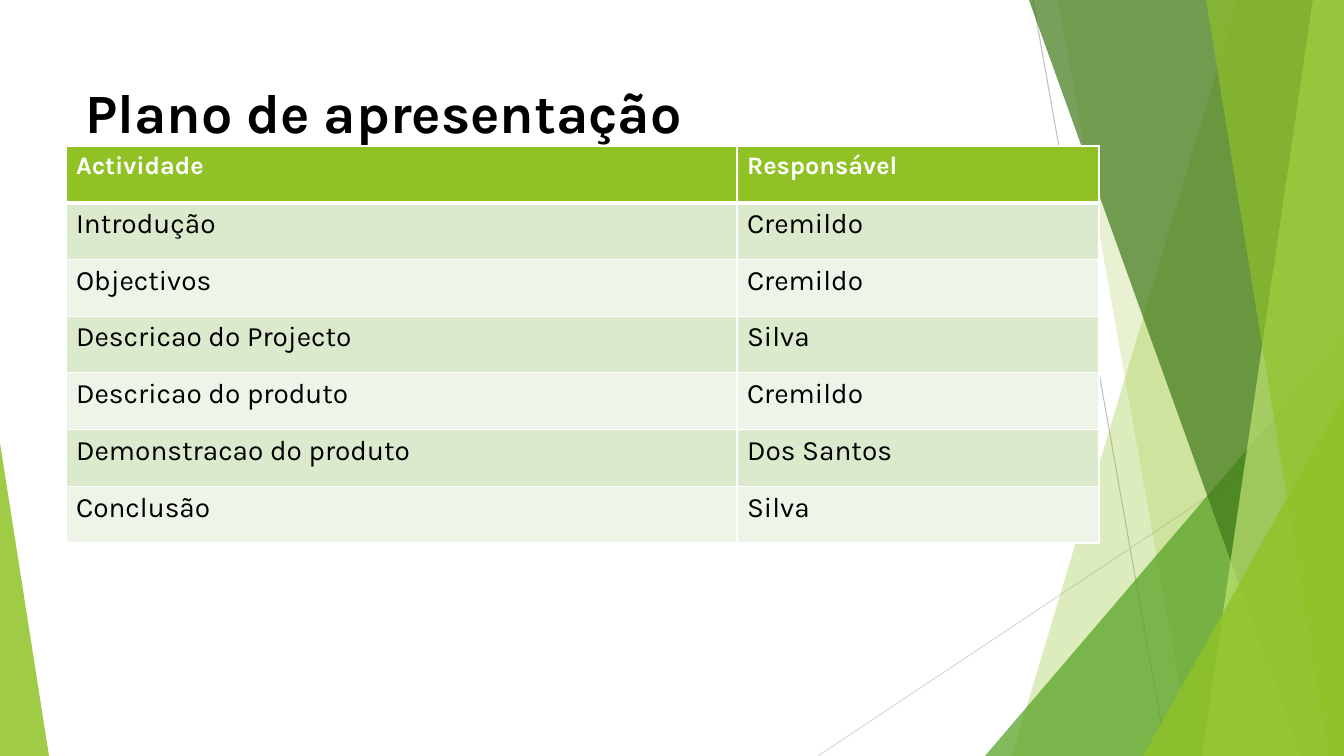
"""Build the presentation plan slide: leafy green facets, a title and a table of activities."""
from dataclasses import dataclass

from lxml import etree
from pptx import Presentation
from pptx import util as u
from pptx.dml.color import RGBColor
from pptx.enum import shapes, text
from pptx.oxml import ns

PIXELS_PER_INCH = 100.8
SLIDE_WIDTH, SLIDE_HEIGHT = 1344, 756
WHITE = RGBColor(0xFF, 0xFF, 0xFF)
BLACK = RGBColor(0x00, 0x00, 0x00)
LIME = RGBColor(0x90, 0xC2, 0x26)
PALE_LIME = RGBColor(0xC0, 0xE4, 0x74)
GREEN = RGBColor(0x54, 0xA0, 0x21)
FOREST = RGBColor(0x3F, 0x78, 0x19)
BAND_DARK = RGBColor(0xDB, 0xE9, 0xCD)
BAND_LIGHT = RGBColor(0xEE, 0xF4, 0xE8)
MID_GREY = RGBColor(0xBF, 0xBF, 0xBF)
LIGHT_GREY = RGBColor(0xD9, 0xD9, 0xD9)

TITLE_FORMAT = {"name": "Karla", "size": u.Pt(39.6), "bold": True}
HEADER_FORMAT = {"name": "Karla", "size": u.Pt(18), "bold": True}
BODY_FORMAT = {"name": "Karla", "size": u.Pt(20), "bold": False}


@dataclass(frozen=True)
class Ray:
    """A thin line between two points."""
    start: tuple[int, int]
    end: tuple[int, int]
    color: RGBColor


@dataclass(frozen=True)
class Facet:
    """A translucent panel reaching the right edge, with a slanted left side."""
    top_left: int
    bottom_left: int
    color: RGBColor
    opacity: int


@dataclass(frozen=True)
class Corner:
    """A translucent triangle rising from the bottom edge."""
    left: int
    top: int
    width: int
    apex: int
    color: RGBColor
    opacity: int


RAYS = [
    Ray((1033, 0), (1167, 756), MID_GREY),
    Ray((1344, 406), (818, 756), LIGHT_GREY),
]
PANELS = [
    Facet(1238, 1012, LIME, 30),
    Facet(1058, 1192, LIME, 20),
    Corner(985, 336, 359, 1, GREEN, 72),
    Facet(1029, 1301, FOREST, 70),
    Facet(1313, 1202, PALE_LIME, 70),
    Facet(1206, 1329, LIME, 65),
    Corner(1143, 396, 201, 1, LIME, 80),
    Corner(0, 443, 49, 0, LIME, 85),
]
ACTIVITIES = [
    ("Actividade", "Responsável"),
    ("Introdução", "Cremildo"),
    ("Objectivos", "Cremildo"),
    ("Descricao do Projecto", "Silva"),
    ("Descricao do produto", "Cremildo"),
    ("Demonstracao do produto", "Dos Santos"),
    ("Conclusão", "Silva"),
]


def px(pixels: int) -> int:
    """Turn pixels into EMU."""
    return u.Inches(pixels / PIXELS_PER_INCH)


def write(paragraph, wording: str, font_format: dict, color: RGBColor) -> None:
    """Add one formatted run to a paragraph."""
    run = paragraph.add_run()
    run.text = wording
    for name, value in font_format.items():
        setattr(run.font, name, value)
    run.font.color.rgb = color


def draw_ray(slide, ray: Ray) -> None:
    """Draw a hairline without a shadow."""
    line = slide.shapes.add_connector(
        shapes.MSO_CONNECTOR.STRAIGHT, *map(px, ray.start + ray.end))
    line.line.color.rgb = ray.color
    line.line.width = u.Pt(0.75)
    etree.SubElement(line.element.spPr, ns.qn("a:effectLst"))


def draw_panel(slide, panel: Facet | Corner) -> None:
    """Draw a facet or a corner with its translucent fill."""
    if isinstance(panel, Facet):
        builder = slide.shapes.build_freeform(px(panel.top_left), 0)
        outline = [(SLIDE_WIDTH, 0), (SLIDE_WIDTH, SLIDE_HEIGHT),
                   (panel.bottom_left, SLIDE_HEIGHT)]
        builder.add_line_segments([(px(x), px(y)) for x, y in outline], close=True)
        shape = builder.convert_to_shape()
    else:
        shape = slide.shapes.add_shape(
            shapes.MSO_SHAPE.ISOSCELES_TRIANGLE, px(panel.left), px(panel.top),
            px(panel.width), px(SLIDE_HEIGHT - panel.top))
        shape.adjustments[0] = panel.apex
    shape.shadow.inherit = False
    shape.line.fill.background()
    shape.fill.solid()
    shape.fill.fore_color.rgb = panel.color
    color = shape.element.spPr.find(".//" + ns.qn("a:srgbClr"))
    etree.SubElement(color, ns.qn("a:alpha"), val=str(panel.opacity * 1000))


def draw_title(slide, wording: str) -> None:
    """Place the title in front of the facets."""
    title = slide.shapes.title
    title.element.getparent().append(title.element)
    title.left, title.top, title.width, title.height = map(px, (75, 68, 982, 120))
    frame = title.text_frame
    frame.word_wrap = True
    frame.vertical_anchor = text.MSO_ANCHOR.TOP
    frame.margin_top = px(10)
    paragraph = frame.paragraphs[0]
    paragraph.alignment = text.PP_ALIGN.LEFT
    write(paragraph, wording, TITLE_FORMAT, BLACK)


def border_cell(cell, bottom_width: int) -> None:
    """Give a cell white borders, placed ahead of its fill."""
    properties = cell._tc.get_or_add_tcPr()
    widths = {"a:lnL": 1, "a:lnR": 1, "a:lnT": 1, "a:lnB": bottom_width}
    for position, (tag, width) in enumerate(widths.items()):
        border = etree.Element(ns.qn(tag), w=str(u.Pt(width)))
        fill = etree.SubElement(border, ns.qn("a:solidFill"))
        etree.SubElement(fill, ns.qn("a:srgbClr"), val=str(WHITE))
        properties.insert(position, border)


def draw_table(slide, rows: list[tuple[str, str]]) -> None:
    """Draw the activities with a lime header and alternating bands."""
    widths = (671, 362)
    table = slide.shapes.add_table(
        len(rows), len(widths), px(66), px(146), px(sum(widths)), px(397)).table
    for column, width in zip(table.columns, widths):
        column.width = px(width)
    for row_index, row in enumerate(rows):
        header = row_index == 0
        band = BAND_DARK if row_index % 2 else BAND_LIGHT
        for column_index, wording in enumerate(row):
            cell = table.cell(row_index, column_index)
            cell.fill.solid()
            cell.fill.fore_color.rgb = LIME if header else band
            border_cell(cell, 3 if header else 1)
            write(cell.text_frame.paragraphs[0], wording,
                  HEADER_FORMAT if header else BODY_FORMAT,
                  WHITE if header else BLACK)


def main() -> None:
    """Assemble and save the slide."""
    presentation = Presentation()
    presentation.slide_width = px(SLIDE_WIDTH)
    presentation.slide_height = px(SLIDE_HEIGHT)
    slide = presentation.slides.add_slide(presentation.slide_layouts[5])
    for ray in RAYS:
        draw_ray(slide, ray)
    for panel in PANELS:
        draw_panel(slide, panel)
    draw_title(slide, "Plano de apresentação")
    draw_table(slide, ACTIVITIES)
    presentation.save("out.pptx")


main()
